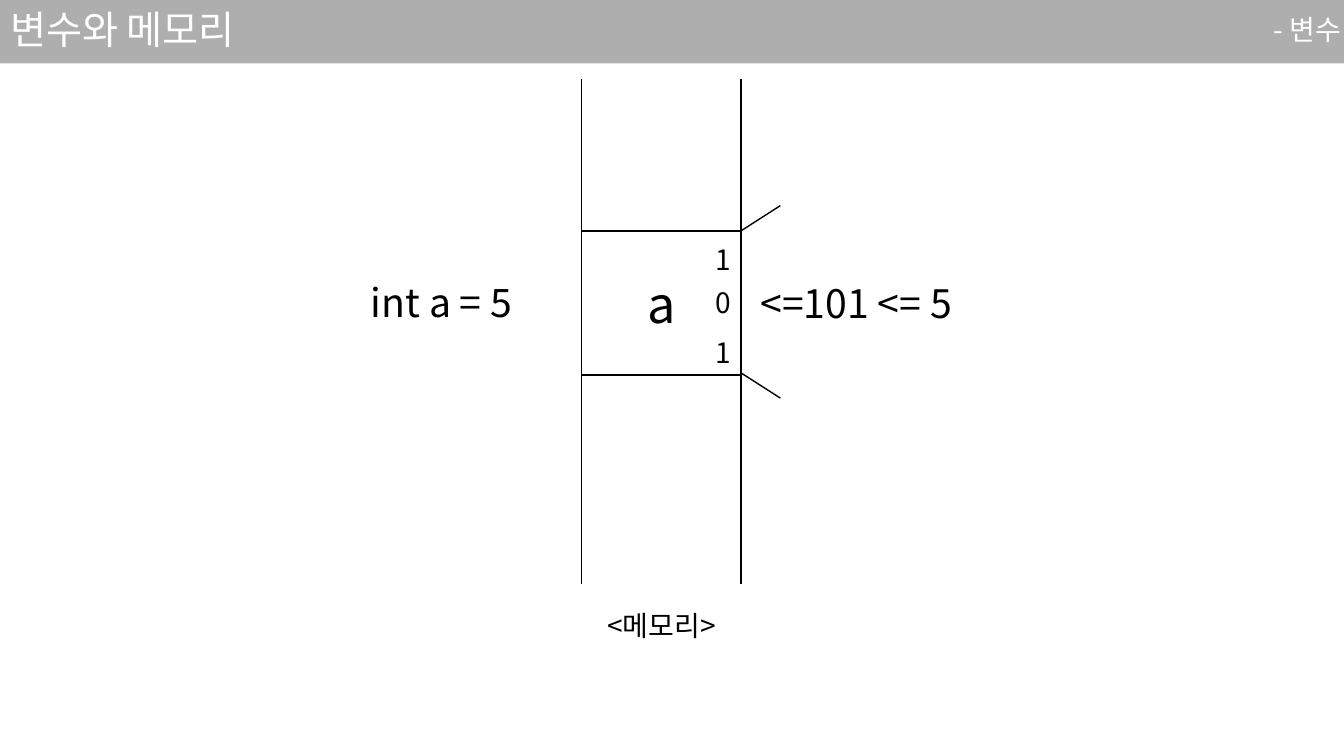
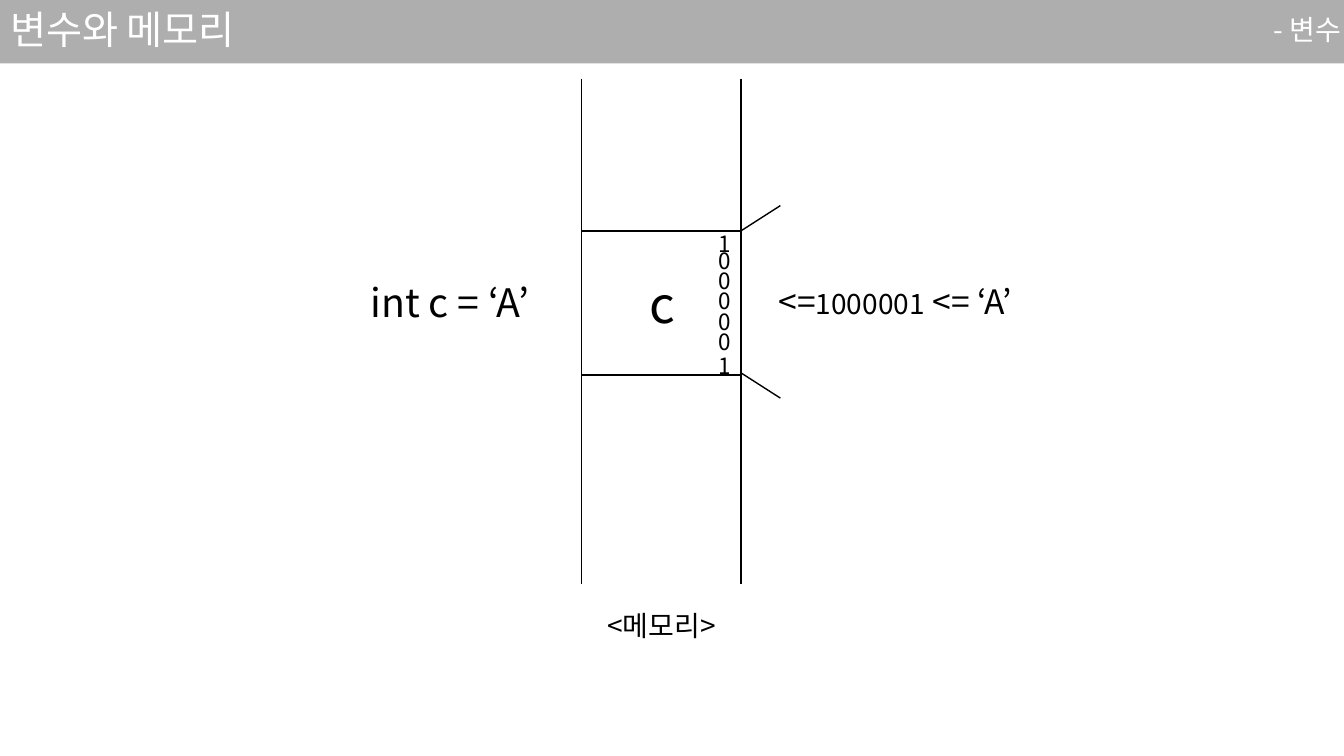
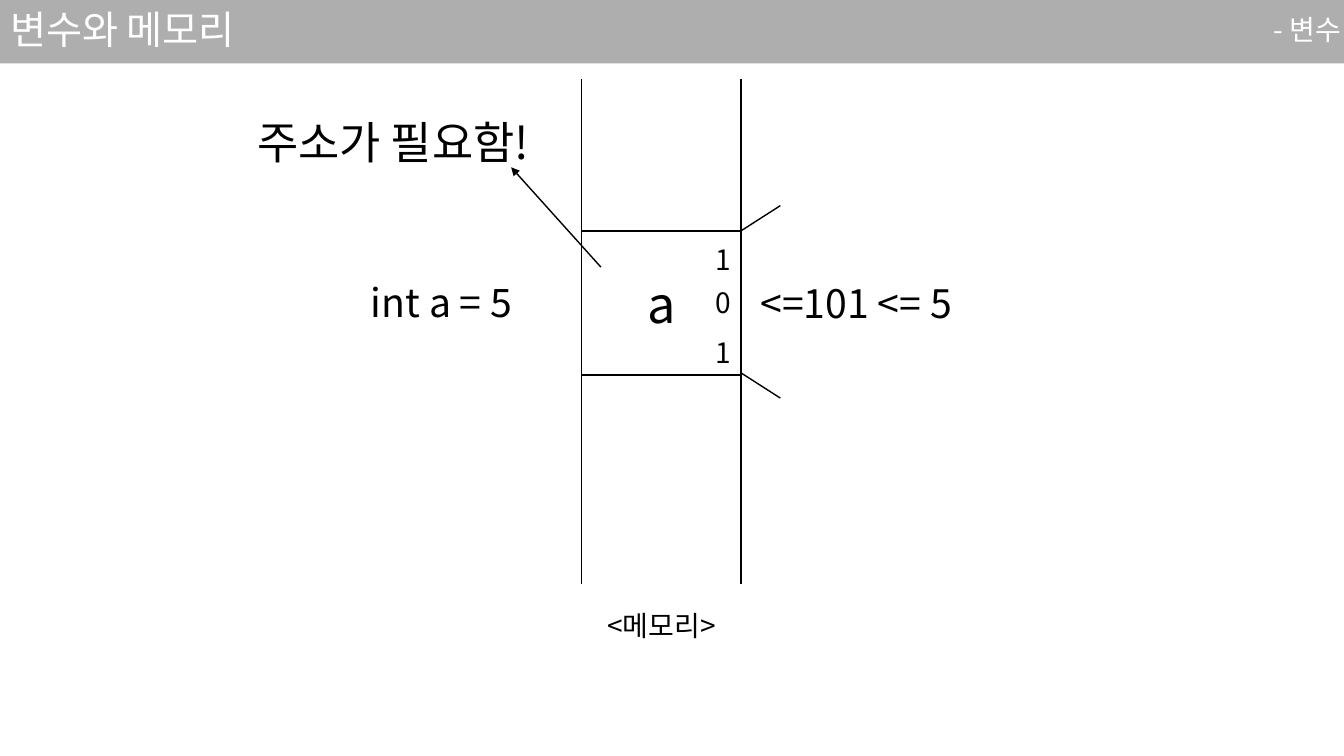
from dataclasses import dataclass

from lxml.etree import SubElement
from pptx import Presentation
from pptx.dml.color import RGBColor
from pptx.enum.shapes import MSO_CONNECTOR, MSO_SHAPE
from pptx.enum.text import MSO_ANCHOR, MSO_AUTO_SIZE, PP_ALIGN
from pptx.oxml.ns import qn
from pptx.util import Inches, Pt

FONT = "Noto Sans CJK KR"
BAND = RGBColor(0x18, 0x17, 0x17)
WHITE = RGBColor(0xFF, 0xFF, 0xFF)
BLACK = RGBColor(0x00, 0x00, 0x00)
SLIDE_WIDTH, SLIDE_HEIGHT = 13.33, 7.5
HEADER_BOX = (0, 0, SLIDE_WIDTH, 0.63)
MEMORY_BOX = (5.77, 0.78, 1.58, 5.01)
CELL_TOP, CELL_HEIGHT = 1.51, 1.43


@dataclass
class Variable:
    """A variable, its declaration and the bits stored in its memory cell."""
    name: str
    name_width: float
    declaration: str
    declaration_width: float
    bits: str
    bit_tops: tuple
    bit_size: int
    bit_box: tuple
    value_runs: list
    value_box: tuple
    value_wraps: bool


NUMBER = Variable("a", 0.47, "int a = 5", 1.65, "101", (0.06, 0.49, 0.99), 20,
                  (0.37, 0.44), [("<=101 <= 5", 28)], (0, 0.43, 2.28, 0.57), False)
LETTER = Variable("c", 0.45, "int c = ‘A’", 1.8, "1000001",
                  (-0.06, 0.11, 0.31, 0.51, 0.72, 0.91, 1.15), 16, (0.34, 0.37),
                  [("<=", 24), ("1000001", 20), (" <= ‘A’", 24)],
                  (0.18, 0.45, 2.7, 0.5), True)


def place(shape, left, top, width, height):
    """Move and size a shape in inches."""
    shape.left, shape.top = Inches(left), Inches(top)
    shape.width, shape.height = Inches(width), Inches(height)


def write(frame, runs, align, color=BLACK, wrap=True):
    """Fill a text frame with one paragraph of (text, size) runs."""
    frame.word_wrap = wrap
    frame.auto_size = MSO_AUTO_SIZE.SHAPE_TO_FIT_TEXT
    frame.vertical_anchor = MSO_ANCHOR.MIDDLE
    paragraph = frame.paragraphs[0]
    paragraph.alignment = align
    for text, size in runs:
        run = paragraph.add_run()
        run.text = text
        run.font.size = Pt(size)
        run.font.color.rgb = color
        run.font.name = FONT
        SubElement(run.font._element, qn("a:ea"), typeface=FONT)
    return paragraph


def add_label(slide, box, runs, align=PP_ALIGN.CENTER, color=BLACK, wrap=True):
    """Add a text box and return its paragraph."""
    label = slide.shapes.add_textbox(*map(Inches, box))
    return write(label.text_frame, runs, align, color, wrap)


def add_line(slide, start, end, arrow=False):
    """Draw a thin black line, with an arrowhead at its end if asked."""
    line = slide.shapes.add_connector(MSO_CONNECTOR.STRAIGHT,
                                      *map(Inches, start + end))
    line.line.color.rgb = BLACK
    line.line.width = Pt(1)
    if arrow:
        SubElement(line.line._get_or_add_ln(), qn("a:tailEnd"), type="triangle")
    SubElement(line._element.spPr, qn("a:effectLst"))


def add_band(slide, box):
    """Put the translucent header band on the layout of the slide."""
    band = slide.shapes.add_shape(MSO_SHAPE.RECTANGLE, *map(Inches, box))
    band.shadow.inherit = False
    band.fill.solid()
    band.fill.fore_color.rgb = BAND
    band.line.fill.background()
    color = band._element.spPr.find(qn("a:solidFill"))[0]
    SubElement(color, qn("a:alpha"), val="35000")
    slide.slide_layout.shapes.element.insert(2, band._element)


def add_header(slide, box):
    """Write the title and the topic inside the header band."""
    left, top, width, _ = box
    place(slide.shapes.title, left, top + 0.05, 7.35, 0.53)
    title = write(slide.shapes.title.text_frame, [("변수와 메모리", 28)],
                  PP_ALIGN.LEFT, WHITE)
    title.line_spacing = 0.9
    topic = add_label(slide, (left + width - 5.36, top + 0.11, 5.43, 0.41),
                      [("- 변수", 20)], PP_ALIGN.RIGHT, WHITE)
    topic.line_spacing = 0.9
    topic.space_before = Pt(10)


def add_memory(slide, box, variable):
    """Draw the memory column with the cell of one variable."""
    left, top, width, height = box
    right, bottom = left + width, top + height
    cell_top = top + CELL_TOP
    cell_bottom = cell_top + CELL_HEIGHT
    for x in (left, right):
        add_line(slide, (x, top), (x, bottom))
    for y in (cell_top, cell_bottom):
        add_line(slide, (left, y), (right, y))
    for y, rise in ((cell_top, -0.25), (cell_bottom - 0.02, 0.25)):
        add_line(slide, (right, y), (right + 0.39, y + rise))
    add_label(slide, (left - 0.21, bottom + 0.19, 2, 0.44), [("<메모리>", 20)])
    add_label(slide, (left - 2.19, cell_top + 0.42, variable.declaration_width, 0.57),
              [(variable.declaration, 28)], PP_ALIGN.LEFT, wrap=False)
    add_label(slide, (right - 0.56 - variable.name_width, cell_top + 0.36,
                      variable.name_width, 0.71),
              [(variable.name, 36)], PP_ALIGN.RIGHT, wrap=False)
    bit_width, bit_height = variable.bit_box
    for bit, bit_top in zip(variable.bits, variable.bit_tops):
        add_label(slide, (right - bit_width, cell_top + bit_top, bit_width, bit_height),
                  [(bit, variable.bit_size)], PP_ALIGN.RIGHT, wrap=False)
    value_left, value_top, value_width, value_height = variable.value_box
    add_label(slide, (right + value_left, cell_top + value_top, value_width, value_height),
              variable.value_runs, wrap=variable.value_wraps)


def add_address_note(slide, box):
    """Point from the memory cell to the note that it needs an address."""
    left, top, _, _ = box
    add_label(slide, (left - 3.44, top + 0.3, 3.14, 0.64), [("주소가 필요함!", 32)])
    add_line(slide, (left + 0.19, top + 1.87), (left - 0.7, top + 0.88), arrow=True)


def add_variable_slide(deck, variable):
    """Add a slide that shows one variable in memory."""
    slide = deck.slides.add_slide(deck.slide_layouts[5])
    add_header(slide, HEADER_BOX)
    add_memory(slide, MEMORY_BOX, variable)
    return slide


deck = Presentation()
deck.slide_width, deck.slide_height = Inches(SLIDE_WIDTH), Inches(SLIDE_HEIGHT)
number_slide = add_variable_slide(deck, NUMBER)
add_band(number_slide, HEADER_BOX)
add_variable_slide(deck, LETTER)
address_slide = add_variable_slide(deck, NUMBER)
add_address_note(address_slide, MEMORY_BOX)
deck.save("out.pptx")
